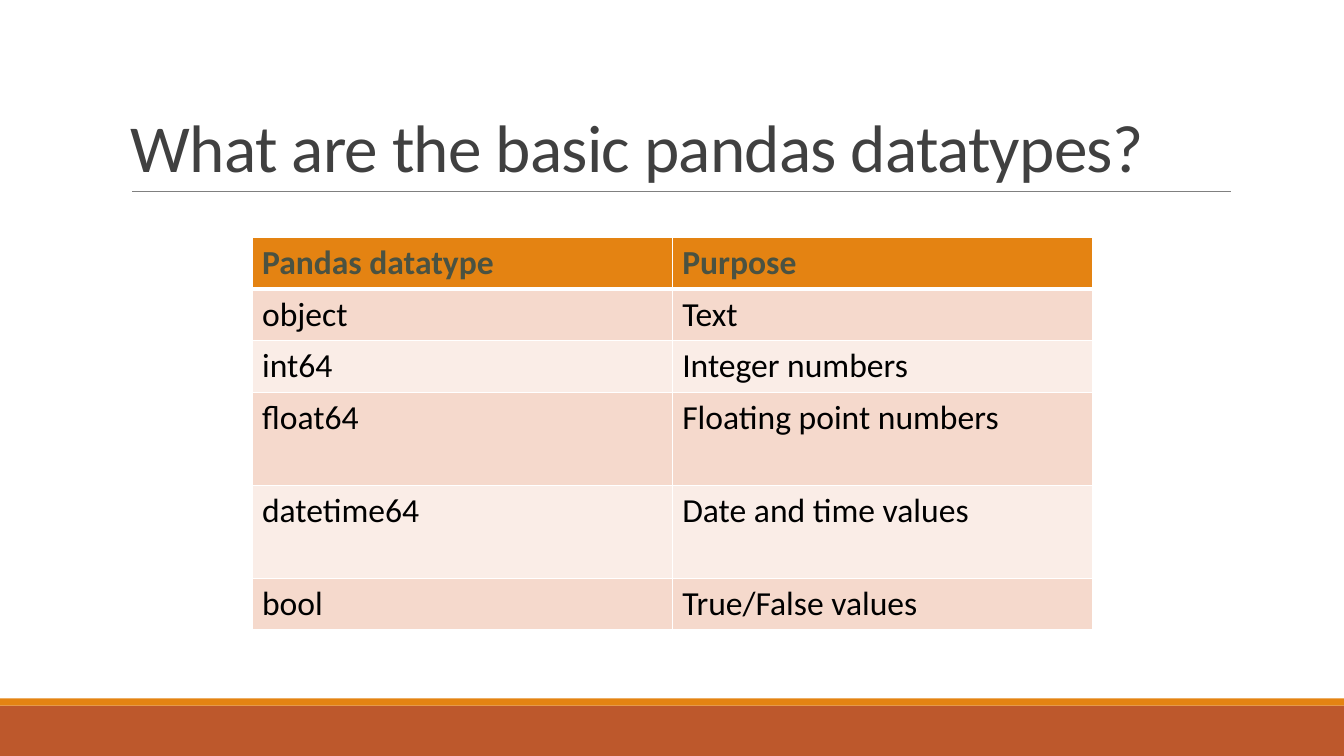
from dataclasses import dataclass

from lxml.etree import SubElement
from pptx import Presentation
from pptx.dml.color import RGBColor
from pptx.enum.shapes import MSO_CONNECTOR, MSO_SHAPE
from pptx.enum.text import MSO_ANCHOR
from pptx.oxml.ns import qn
from pptx.slide import Slide
from pptx.table import _Cell
from pptx.text.text import _Paragraph
from pptx.util import Cm, Pt

WHITE = RGBColor(0xFF, 0xFF, 0xFF)
BLACK = RGBColor(0x00, 0x00, 0x00)
ORANGE = RGBColor(0xE4, 0x83, 0x12)
RUST = RGBColor(0xBD, 0x58, 0x2C)
RULE_GRAY = RGBColor(0x80, 0x80, 0x80)
TITLE_GRAY = RGBColor(0x40, 0x40, 0x40)
HEADER_TEXT = RGBColor(0x4A, 0x52, 0x42)
BAND_DARK = RGBColor(0xF5, 0xD9, 0xCC)
BAND_LIGHT = RGBColor(0xFA, 0xED, 0xE7)

FONT = "Calibri"
SLIDE_WIDTH = Cm(33.87)
COLUMN_WIDTH = Cm(10.59)
SINGLE, DOUBLE = Cm(1.3), Cm(2.34)
THIN, THICK = Pt(1), Pt(3)


@dataclass(frozen=True)
class FooterBar:
    top: Cm
    height: Cm
    color: RGBColor


@dataclass(frozen=True)
class DatatypeRow:
    datatype: str
    purpose: str
    height: Cm = SINGLE


FOOTER_BARS = [
    FooterBar(Cm(17.78), Cm(1.27), RUST),
    FooterBar(Cm(17.6), Cm(0.18), ORANGE),
]

DATATYPE_ROWS = [
    DatatypeRow("Pandas datatype", "Purpose"),
    DatatypeRow("object", "Text"),
    DatatypeRow("int64", "Integer numbers"),
    DatatypeRow("float64", "Floating point numbers", DOUBLE),
    DatatypeRow("datetime64", "Date and time values", DOUBLE),
    DatatypeRow("bool", "True/False values"),
]


def add_text(paragraph: _Paragraph, text: str, size: int, color: RGBColor,
             bold: bool = False):
    run = paragraph.add_run()
    run.text = text
    run.font.name = FONT
    run.font.size = Pt(size)
    run.font.bold = bold
    run.font.color.rgb = color
    return run


def add_footer_bar(slide: Slide, bar: FooterBar) -> None:
    shape = slide.shapes.add_shape(
        MSO_SHAPE.RECTANGLE, 0, bar.top, SLIDE_WIDTH, bar.height)
    shape.shadow.inherit = False
    shape.fill.solid()
    shape.fill.fore_color.rgb = bar.color
    shape.line.fill.background()


def add_title_rule(slide: Slide) -> None:
    rule = slide.shapes.add_connector(
        MSO_CONNECTOR.STRAIGHT, Cm(3.33), Cm(4.83), Cm(31.01), Cm(4.83))
    rule.line.color.rgb = RULE_GRAY
    rule.line.width = Pt(0.5)
    SubElement(rule._element.spPr, qn("a:effectLst"))


def add_title(slide: Slide, text: str) -> None:
    box = slide.shapes.add_textbox(Cm(3.05), Cm(0.79), Cm(27.94), Cm(4.04))
    frame = box.text_frame
    frame.word_wrap = True
    frame.vertical_anchor = MSO_ANCHOR.BOTTOM
    paragraph = frame.paragraphs[0]
    paragraph.line_spacing = 0.85
    run = add_text(paragraph, text, 48, TITLE_GRAY)
    run.font._element.set("spc", "-50")


def add_borders(cell: _Cell, top: Pt, bottom: Pt) -> None:
    """Draw white borders; call before the fill, which must follow in the XML."""
    properties = cell._tc.get_or_add_tcPr()
    widths = {"a:lnL": THIN, "a:lnR": THIN, "a:lnT": top, "a:lnB": bottom}
    for tag, width in widths.items():
        line = SubElement(properties, qn(tag), w=str(int(width)))
        fill = SubElement(line, qn("a:solidFill"))
        SubElement(fill, qn("a:srgbClr"), val=str(WHITE))


def add_datatype_table(slide: Slide, rows: list[DatatypeRow]) -> None:
    table = slide.shapes.add_table(
        len(rows), 2, Cm(6.35), Cm(5.99), 2 * COLUMN_WIDTH,
        sum(row.height for row in rows)).table
    for column in table.columns:
        column.width = COLUMN_WIDTH
    for index, row in enumerate(rows):
        table.rows[index].height = row.height
        is_header = index == 0
        band = BAND_DARK if index % 2 else BAND_LIGHT
        for column, text in enumerate((row.datatype, row.purpose)):
            cell = table.cell(index, column)
            add_borders(cell, THICK if index == 1 else THIN,
                        THICK if is_header else THIN)
            cell.fill.solid()
            cell.fill.fore_color.rgb = ORANGE if is_header else band
            add_text(cell.text_frame.paragraphs[0], text, 24,
                     HEADER_TEXT if is_header else BLACK, is_header)


def main() -> None:
    presentation = Presentation()
    presentation.slide_width = SLIDE_WIDTH
    presentation.slide_height = Cm(19.05)
    slide = presentation.slides.add_slide(presentation.slide_layouts[6])
    for bar in FOOTER_BARS:
        add_footer_bar(slide, bar)
    add_title_rule(slide)
    add_title(slide, "What are the basic pandas datatypes?")
    add_datatype_table(slide, DATATYPE_ROWS)
    presentation.save("out.pptx")


if __name__ == "__main__":
    main()
